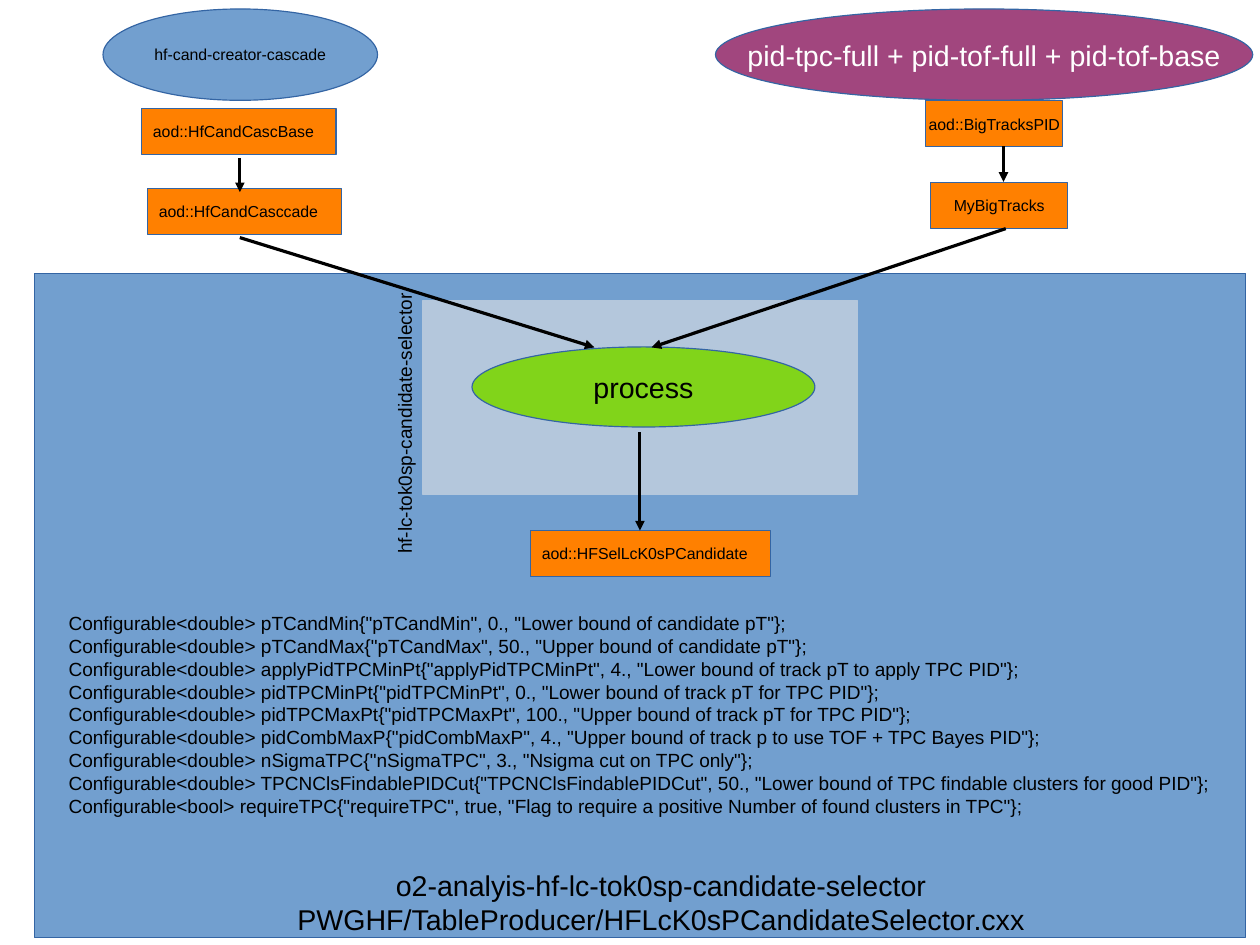
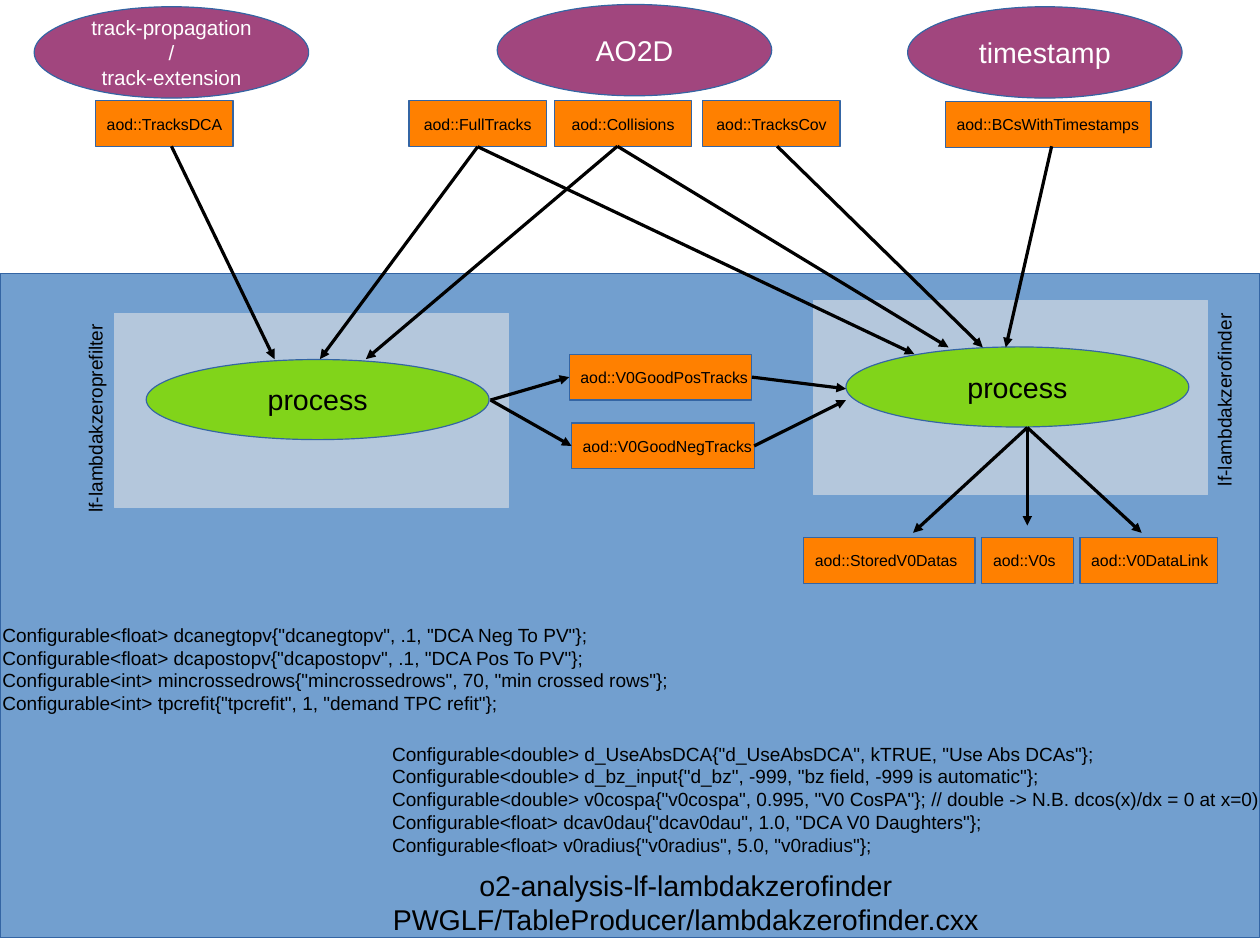
from pptx import Presentation
from pptx.dml.color import RGBColor
from pptx.enum.shapes import MSO_CONNECTOR, MSO_SHAPE
from pptx.enum.text import MSO_ANCHOR, MSO_AUTO_SIZE, PP_ALIGN
from pptx.oxml.ns import qn
from pptx.util import Cm, Pt
from lxml import etree

RECT = MSO_SHAPE.RECTANGLE
OVAL = MSO_SHAPE.OVAL
LINE = MSO_CONNECTOR.STRAIGHT
LEFT = PP_ALIGN.LEFT
MID = PP_ALIGN.CENTER
TOP = MSO_ANCHOR.TOP
CENTRE = MSO_ANCHOR.MIDDLE
GROW = MSO_AUTO_SIZE.SHAPE_TO_FIT_TEXT
FIXED = MSO_AUTO_SIZE.NONE
WEST, SOUTH, EAST = 1, 2, 3

FONT = "Arial"
COLORS = {
    "blue": "729FCF",
    "pale": "B4C7DC",
    "edge": "3465A4",
    "table": "FF8000",
    "task": "A1467E",
    "step": "81D41A",
    "ink": "000000",
    "white": "FFFFFF",
}


def tint(name):
    return RGBColor.from_string(COLORS[name])


class Deck:
    def __init__(self, width, height):
        self.prs = Presentation()
        self.prs.slide_width = Cm(width)
        self.prs.slide_height = Cm(height)
        self.slide = None

    def page(self):
        self.slide = self.prs.slides.add_slide(self.prs.slide_layouts[5])

    def label(self, frame, lines, size, align=LEFT, color="ink", anchor=TOP, wrap=False, fit=FIXED):
        frame.word_wrap = wrap
        frame.auto_size = fit
        frame.vertical_anchor = anchor
        frame.margin_left = frame.margin_right = Cm(0.25)
        frame.margin_top = frame.margin_bottom = Cm(0.13)
        for i, line in enumerate(lines):
            para = frame.add_paragraph() if i else frame.paragraphs[0]
            para.alignment = align
            run = para.add_run()
            run.text = line
            run.font.name = FONT
            run.font.size = Pt(size)
            run.font.color.rgb = tint(color)

    def shape(self, kind, box, fill, edge="edge"):
        item = self.slide.shapes.add_shape(kind, *map(Cm, box))
        item.shadow.inherit = False
        item.fill.solid()
        item.fill.fore_color.rgb = tint(fill)
        item.line.color.rgb = tint(edge)
        item.line.width = Pt(0)
        return item

    def panel(self, left, width):
        self.shape(RECT, (left, 6.07, width, 14.76), "blue")

    def task(self, left, top, lines, size=18, width=6.1, fill="task", color="white", align=MID):
        item = self.shape(OVAL, (left, top, width, 2.03), fill)
        self.label(item.text_frame, lines, size, align, color, CENTRE)

    def table(self, left, top, width, name, align=LEFT):
        item = self.shape(RECT, (left, top, width, 1.02), "table")
        self.label(item.text_frame, [name], 10, align, anchor=CENTRE)
        return item

    def stage(self, left, top, width, inset):
        self.shape(RECT, (left, top, width, 4.32), "pale", "pale")
        step = self.shape(OVAL, (left + inset, top + 1.03, 7.62, 1.78), "step")
        self.label(step.text_frame, ["process"], 18, MID, anchor=CENTRE)

    def text(self, box, lines):
        item = self.slide.shapes.add_textbox(*map(Cm, box))
        self.label(item.text_frame, lines, 12, fit=GROW)
        return item

    def tag(self, left, top, width, name):
        self.text((left, top, width, 0.74), [name]).rotation = 270

    def code(self, box, lines):
        self.text(box, ["  " + line for line in lines])

    def title(self, left, lines):
        item = self.slide.shapes.title
        item.left, item.top, item.width, item.height = map(Cm, (left, 19.15, 18, 1.68))
        self.label(item.text_frame, lines, 18, MID, wrap=True)
        tree = item.element.getparent()
        tree.append(item.element)

    def arrow(self, start, end, tail=None, head=None):
        item = self.slide.shapes.add_connector(LINE, *map(Cm, start + end))
        if tail:
            item.begin_connect(*tail)
        if head:
            item.end_connect(*head)
        item.line.color.rgb = tint("ink")
        item.line.width = Pt(0)
        props = item.element.spPr
        tip = etree.SubElement(props.find(qn("a:ln")), qn("a:tailEnd"))
        tip.set("type", "triangle")
        etree.SubElement(props, qn("a:effectLst"))

    def save(self):
        self.prs.save("out.pptx")


def cascade(deck):
    deck.page()
    deck.task(2.29, 0.2, ["hf-cand-creator-cascade"], 10, fill="blue", color="ink", align=LEFT)
    deck.task(15.9, 0.2, ["pid-tpc-full + pid-tof-full + pid-tof-base"], width=11.94)
    deck.table(3.15, 2.41, 4.32, "aod::HfCandCascBase")
    deck.table(3.28, 4.19, 4.32, "aod::HfCandCasccade")
    deck.table(20.57, 2.24, 3.05, "aod::BigTracksPID", MID)
    deck.table(20.68, 4.06, 3.05, "MyBigTracks", MID)
    deck.panel(0.76, 26.92)
    deck.stage(9.4, 6.68, 9.65, 1.09)
    deck.tag(5.82, 9.04, 6.3, "hf-lc-tok0sp-candidate-selector")
    deck.table(11.79, 11.79, 5.33, "aod::HFSelLcK0sPCandidate")
    for start, end in (
        ((5.33, 3.51), (5.33, 4.27)),
        ((5.33, 5.28), (13.21, 7.72)),
        ((14.22, 9.6), (14.22, 11.79)),
        ((22.35, 5.08), (14.48, 7.72)),
        ((22.3, 3.25), (22.3, 4.04)),
    ):
        deck.arrow(start, end)
    deck.code((1.04, 13.46, 26.19, 4.52), [
        'Configurable<double> pTCandMin{"pTCandMin", 0., "Lower bound of candidate pT"};',
        'Configurable<double> pTCandMax{"pTCandMax", 50., "Upper bound of candidate pT"};',
        'Configurable<double> applyPidTPCMinPt{"applyPidTPCMinPt", 4., "Lower bound of track pT to apply TPC PID"};',
        'Configurable<double> pidTPCMinPt{"pidTPCMinPt", 0., "Lower bound of track pT for TPC PID"};',
        'Configurable<double> pidTPCMaxPt{"pidTPCMaxPt", 100., "Upper bound of track pT for TPC PID"};',
        'Configurable<double> pidCombMaxP{"pidCombMaxP", 4., "Upper bound of track p to use TOF + TPC Bayes PID"};',
        'Configurable<double> nSigmaTPC{"nSigmaTPC", 3., "Nsigma cut on TPC only"};',
        'Configurable<double> TPCNClsFindablePIDCut{"TPCNClsFindablePIDCut", 50., '
        '"Lower bound of TPC findable clusters for good PID"};',
        'Configurable<bool> requireTPC{"requireTPC", true, '
        '"Flag to require a positive Number of found clusters in TPC"};',
    ])
    deck.title(5.69, [
        "o2-analyis-hf-lc-tok0sp-candidate-selector",
        "PWGHF/TableProducer/HFLcK0sPCandidateSelector.cxx",
    ])


def lambdas(deck):
    deck.page()
    deck.task(0.76, 0.15, ["track-propagation", "/", "track-extension"], 13)
    deck.task(11.05, 0.1, ["AO2D"])
    deck.task(20.17, 0.15, ["timestamp"])
    deck.table(2.13, 2.24, 3.05, "aod::TracksDCA", MID)
    full = deck.table(9.09, 2.24, 3.05, "aod::FullTracks", MID)
    deck.table(12.32, 2.24, 3.05, "aod::Collisions", MID)
    deck.table(15.62, 2.24, 3.05, "aod::TracksCov", MID)
    deck.table(21.01, 2.26, 4.57, "aod::BCsWithTimestamps")
    deck.panel(0, 28)
    deck.stage(2.54, 6.96, 8.76, 0.71)
    deck.tag(-0.25, 8.92, 4.7, "lf-lambdakzeroprefilter")
    deck.stage(18.08, 6.68, 8.76, 0.72)
    deck.tag(25.02, 8.51, 4.34, "lf-lambdakzerofinder")
    pos = deck.table(12.65, 7.87, 4.06, "aod::V0GoodPosTracks")
    neg = deck.table(12.7, 9.4, 4.06, "aod::V0GoodNegTracks")
    for left, width, name in (
        (17.86, 3.81, "aod::StoredV0Datas"),
        (21.82, 2.03, "aod::V0s"),
        (24, 3.05, "aod::V0DataLink"),
    ):
        deck.table(left, 11.94, width, name)
    for x, y in ((20.29, 11.84), (22.83, 11.68), (25.37, 11.84)):
        deck.arrow((22.83, 9.5), (x, y))
    for x, end in (
        (3.81, (6.1, 7.98)),
        (13.72, (8.13, 7.98)),
        (13.72, (21.08, 7.72)),
        (17.27, (21.84, 7.72)),
        (23.37, (22.35, 7.72)),
    ):
        deck.arrow((x, 3.25), end)
    for end in ((7.11, 7.98), (20.32, 7.87)):
        deck.arrow((10.67, 3.25), end, tail=(full, SOUTH))
    for box, y, end in ((pos, 8.38, 8.64), (neg, 9.91, 8.89)):
        deck.arrow((10.9, 8.89), (12.7, y), head=(box, WEST))
        deck.arrow((16.74, y), (18.8, end), tail=(box, EAST))
    deck.code((-0.43, 13.72, 15.57, 2.16), [
        'Configurable<float> dcanegtopv{"dcanegtopv", .1, "DCA Neg To PV"};',
        'Configurable<float> dcapostopv{"dcapostopv", .1, "DCA Pos To PV"};',
        'Configurable<int> mincrossedrows{"mincrossedrows", 70, "min crossed rows"};',
        'Configurable<int> tpcrefit{"tpcrefit", 1, "demand TPC refit"};',
    ])
    deck.code((8.23, 16.36, 20.09, 2.62), [
        'Configurable<double> d_UseAbsDCA{"d_UseAbsDCA", kTRUE, "Use Abs DCAs"};',
        'Configurable<double> d_bz_input{"d_bz", -999, "bz field, -999 is automatic"};',
        'Configurable<double> v0cospa{"v0cospa", 0.995, "V0 CosPA"}; // double -> N.B. dcos(x)/dx = 0 at x=0)',
        'Configurable<float> dcav0dau{"dcav0dau", 1.0, "DCA V0 Daughters"};',
        'Configurable<float> v0radius{"v0radius", 5.0, "v0radius"};',
    ])
    deck.title(6.24, [
        "o2-analysis-lf-lambdakzerofinder",
        "PWGLF/TableProducer/lambdakzerofinder.cxx",
    ])


def main():
    deck = Deck(28, 21)
    cascade(deck)
    lambdas(deck)
    deck.save()


if __name__ == "__main__":
    main()
